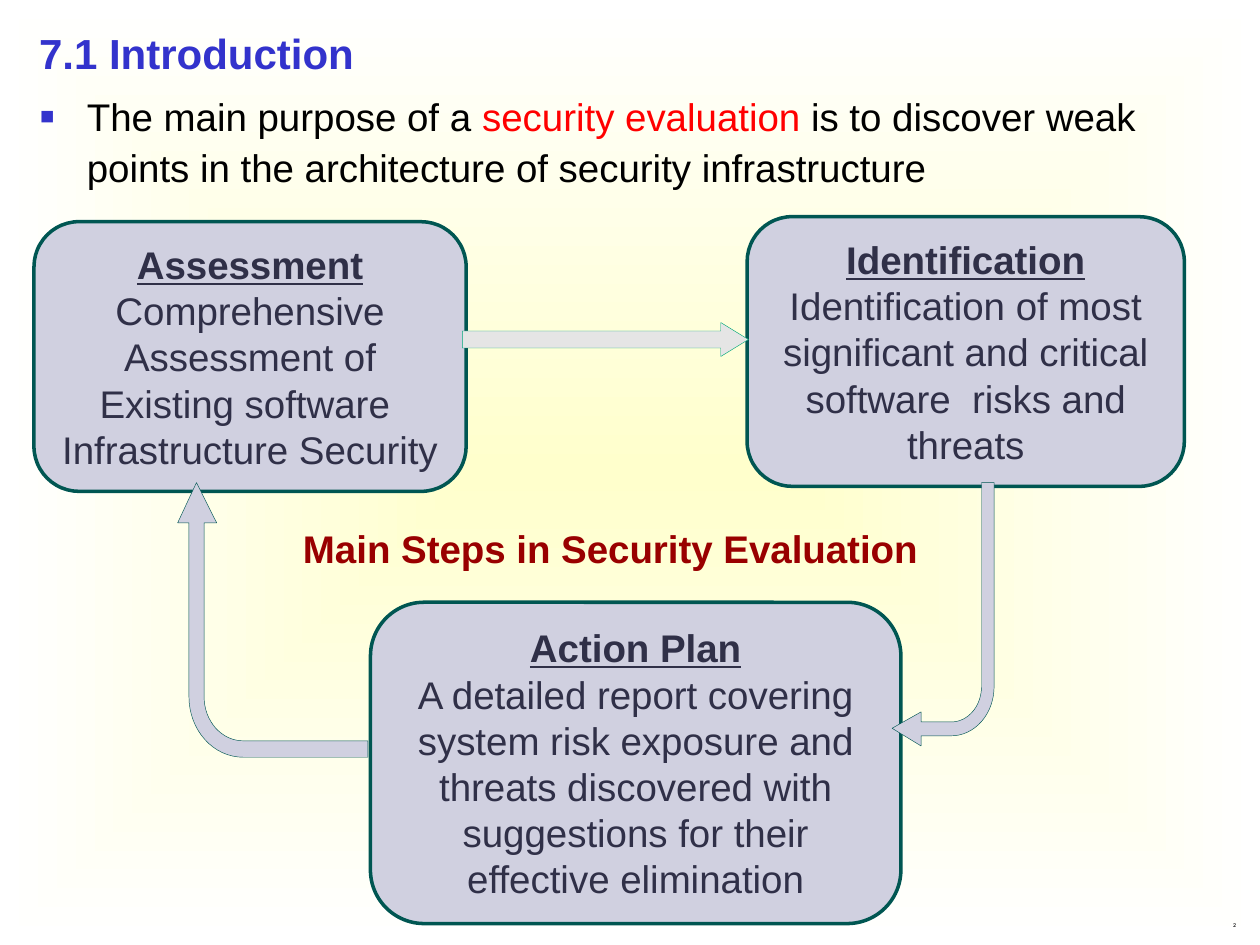
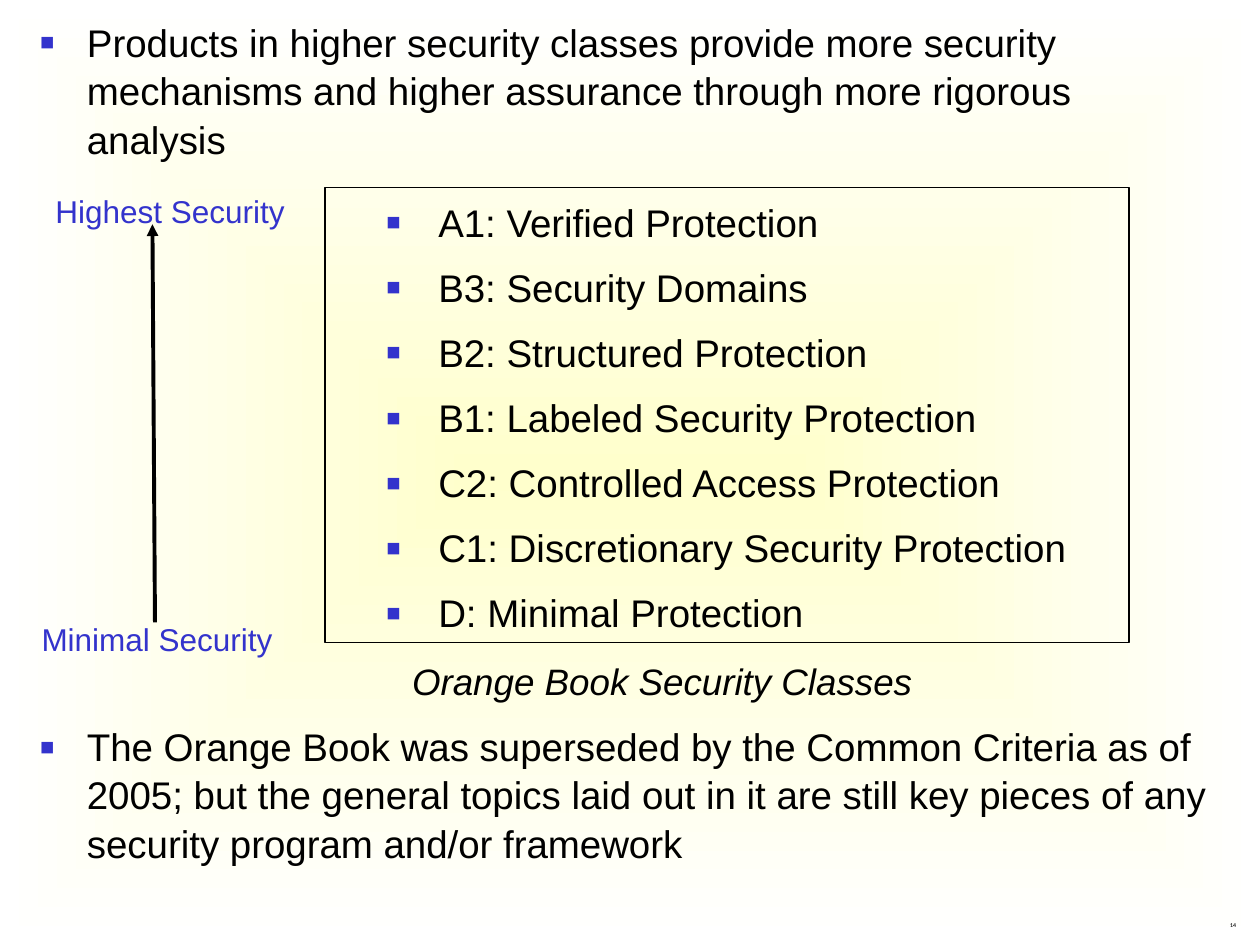
from math import cos, radians, sin

from lxml import etree
from pptx import Presentation
from pptx.dml.color import RGBColor
from pptx.enum.shapes import MSO_CONNECTOR, MSO_SHAPE
from pptx.enum.text import MSO_ANCHOR, MSO_AUTO_SIZE, PP_ALIGN
from pptx.oxml import parse_xml
from pptx.oxml.ns import nsdecls, qn
from pptx.util import Pt

LEFT, CENTER, RIGHT = PP_ALIGN.LEFT, PP_ALIGN.CENTER, PP_ALIGN.RIGHT
TOP, MIDDLE, BOTTOM = MSO_ANCHOR.TOP, MSO_ANCHOR.MIDDLE, MSO_ANCHOR.BOTTOM
NO_FIT = MSO_AUTO_SIZE.NONE
ROUND, RECT, ARROW = MSO_SHAPE.ROUNDED_RECTANGLE, MSO_SHAPE.RECTANGLE, MSO_SHAPE.RIGHT_ARROW
STRAIGHT = MSO_CONNECTOR.STRAIGHT

BLACK = RGBColor(0x00, 0x00, 0x00)
BLUE = RGBColor(0x33, 0x33, 0xCC)
RED = RGBColor(0xFF, 0x00, 0x00)
MAROON = RGBColor(0x99, 0x00, 0x00)
INK = RGBColor(0x30, 0x30, 0x48)
LILAC = RGBColor(0xD0, 0xD0, 0xE0)
TEAL = RGBColor(0x00, 0x56, 0x52)
GREEN = RGBColor(0x00, 0xA7, 0x7A)
GRAY = RGBColor(0xE5, 0xE5, 0xE5)
DARK = RGBColor(0x1C, 0x1C, 0x1C)
CREAM = RGBColor(0xFF, 0xFF, 0xCC)
WHITE = RGBColor(0xFF, 0xFF, 0xFF)

SCALE = 9144
SIZE = 22


def px(n):
    return round(n * SCALE)


def arc(mid, radii, start, end, steps=16):
    angles = [radians(start + (end - start) * i / steps) for i in range(steps + 1)]
    return [(mid[0] + radii[0] * cos(a), mid[1] + radii[1] * sin(a)) for a in angles]


class Deck:
    def __init__(self):
        self.prs = Presentation()
        self.prs.slide_width, self.prs.slide_height = px(1000), px(750)
        self.slide = None
        self.glow()

    def glow(self):
        base = self.prs.slide_master.element.cSld
        base.remove(base.find(qn("p:bg")))
        base.insert(0, parse_xml(
            f'<p:bg {nsdecls("p", "a")}><p:bgPr><a:gradFill rotWithShape="0"><a:gsLst>'
            f'<a:gs pos="0"><a:srgbClr val="{CREAM}"/></a:gs>'
            f'<a:gs pos="100000"><a:srgbClr val="{WHITE}"/></a:gs></a:gsLst>'
            '<a:path path="rect"><a:fillToRect l="50000" t="50000" r="50000" b="50000"/></a:path>'
            '</a:gradFill><a:effectLst/></p:bgPr></p:bg>'))

    def page(self, layout, number):
        self.slide = self.prs.slides.add_slide(self.prs.slide_layouts[layout])
        self.text((933, 725, 58, 17), number, 3, DARK, bold=True, font="Lato",
                  align=RIGHT, anchor=BOTTOM, space=0.8)

    def place(self, shape, area):
        shape.left, shape.top, shape.width, shape.height = map(px, area)

    def frame(self, shape, anchor=TOP, pad=(10, 5), wrap=True):
        frame = shape.text_frame
        frame.auto_size = NO_FIT
        frame.word_wrap = wrap
        frame.vertical_anchor = anchor
        frame.margin_left = frame.margin_right = px(pad[0])
        frame.margin_top = frame.margin_bottom = px(pad[1])
        return frame

    def style(self, run, size, color, bold=False, italic=False, under=False, font="Arial"):
        face = run.font
        face.name, face.size, face.color.rgb = font, Pt(size), color
        face.bold, face.italic, face.underline = bold, italic, under

    def dress(self, para, align=LEFT, space=1.0, before=0, **look):
        para.alignment, para.line_spacing, para.space_before = align, space, Pt(before)
        for run in para.runs:
            self.style(run, **look)

    def text(self, area, words, size, color, align=LEFT, anchor=TOP, space=1.0,
             pad=(10, 5), wrap=True, **look):
        box = self.slide.shapes.add_textbox(*map(px, area))
        frame = self.frame(box, anchor, pad, wrap)
        frame.text = words
        self.dress(frame.paragraphs[0], align, space, size=size, color=color, **look)

    def label(self, area, words, size, color, **look):
        self.text(area, words, size, color, space=0.85, pad=(7, 3), wrap=False, **look)

    def title(self, area, words):
        shape = self.slide.shapes.title
        self.place(shape, area)
        frame = self.frame(shape)
        frame.text = words
        self.dress(frame.paragraphs[0], space=1.1, before=9, size=24, color=BLUE, bold=True)

    def bullet(self, para, left, hang):
        props = para._p.get_or_add_pPr()
        props.set("marL", str(px(left)))
        props.set("indent", str(px(-hang)))
        tint = etree.SubElement(props, qn("a:buClr"))
        etree.SubElement(tint, qn("a:srgbClr"), val=str(BLUE))
        etree.SubElement(props, qn("a:buSzPct"), val="120000")
        etree.SubElement(props, qn("a:buFont"), typeface="Arial")
        etree.SubElement(props, qn("a:buChar"), char="▪")

    def items(self, shape, lines, left, hang, space, level=0):
        frame = self.frame(shape)
        frame.text = "\n".join(lines)
        for para in frame.paragraphs:
            para.level = level
            self.dress(para, space=space, before=8.2, size=SIZE, color=BLACK)
            self.bullet(para, left, hang)
        return frame

    def body(self, slot, area, words, space):
        shape = self.slide.placeholders[slot]
        self.place(shape, area)
        return self.items(shape, [words], 38, 38, space).paragraphs[0]

    def paint(self, shape, fill, line, width):
        shape.shadow.inherit = False
        if fill is None:
            shape.fill.background()
        else:
            shape.fill.solid()
            shape.fill.fore_color.rgb = fill
        shape.line.color.rgb = line
        shape.line.width = Pt(width)

    def shape(self, kind, area, fill, line, width, adjust=()):
        shape = self.slide.shapes.add_shape(kind, *map(px, area))
        for i, value in enumerate(adjust):
            shape.adjustments[i] = value
        self.paint(shape, fill, line, width)
        return shape

    def card(self, area, head, words):
        shape = self.shape(ROUND, area, LILAC, TEAL, 2, [0.167])
        frame = self.frame(shape, MIDDLE)
        frame.text = f"{head}\n{words}"
        for para, strong in zip(frame.paragraphs, (True, False)):
            self.dress(para, CENTER, size=SIZE, color=INK, bold=strong, under=strong)

    def bend(self, points):
        first, *rest = [(px(x), px(y)) for x, y in points]
        pen = self.slide.shapes.build_freeform(*first)
        pen.add_line_segments(rest, close=True)
        self.paint(pen.convert_to_shape(), LILAC, TEAL, 0.25)

    def arrow(self, start, end):
        line = self.slide.shapes.add_connector(STRAIGHT, *map(px, start + end))
        line.line.color.rgb = BLACK
        line.line.width = Pt(2.25)
        props = line._element.spPr
        etree.SubElement(props.find(qn("a:ln")), qn("a:tailEnd"), type="triangle")
        etree.SubElement(props, qn("a:effectLst"))


def intro(deck):
    deck.page(1, "2")
    para = deck.body(1, (21, 65, 954, 91), "The main purpose of a ", 1.1)
    for words, color in (
        ("security evaluation", RED),
        (" is to discover weak points in the architecture of security infrastructure", BLACK),
    ):
        run = para.add_run()
        run.text = words
        deck.style(run, SIZE, color)
    for area, head, words in (
        ((27, 176, 343, 214), "Assessment",
         "Comprehensive Assessment of Existing software  Infrastructure Security"),
        ((593, 172, 347, 214), "Identification",
         "Identification of most significant and critical software  risks and threats"),
        ((294, 478, 421, 255), "Action Plan",
         "A detailed report covering system risk exposure and threats discovered "
         "with suggestions for their effective elimination"),
    ):
        deck.card(area, head, words)
    down, up = (755, 545), (193, 553)
    deck.bend([(789, 383), *arc(down, (34, 39), 0, 90),
               (731, 584), (731, 592), (708, 578), (731, 565), (731, 573),
               *arc(down, (24, 28), 90, 0), (779, 383)])
    deck.bend([(292, 601), *arc(up, (43, 48), 90, 180),
               (150, 415), (141, 415), (156, 383), (172, 415), (162, 415),
               *arc(up, (31, 35), 180, 90), (292, 588)])
    deck.shape(ARROW, (367, 256, 227, 27), GRAY, GREEN, 0.25, [0.5, 0.813])
    deck.text((227, 412, 515, 47), "Main Steps in Security Evaluation", SIZE, MAROON,
              align=CENTER, bold=True)
    deck.title((21, 13, 954, 54), "7.1 Introduction")


def classes(deck):
    deck.page(3, "14")
    head = deck.slide.shapes.title._element
    head.getparent().remove(head)
    box = deck.shape(RECT, (258, 149, 638, 361), None, BLACK, 0.75)
    deck.items(box, (
        "A1: Verified Protection",
        "B3: Security Domains",
        "B2: Structured Protection",
        "B1: Labeled Security Protection",
        "C2: Controlled Access Protection",
        "C1: Discretionary Security Protection",
        "D: Minimal Protection",
    ), 80, 42, 1.1, level=1)
    deck.label((37, 154, 196, 31), "Highest Security", 18, BLUE)
    deck.label((26, 494, 197, 31), "Minimal Security", 18, BLUE)
    deck.arrow((123, 494), (121, 178))
    deck.label((320, 525, 411, 35), "Orange Book Security Classes", 21, BLACK, italic=True)
    deck.body(1, (21, 8, 954, 126),
              "Products in higher security classes provide more security mechanisms "
              "and higher assurance through more rigorous analysis", 1.05)
    deck.body(2, (21, 567, 954, 126),
              "The Orange Book was superseded by the Common Criteria as of 2005; but the "
              "general topics laid out in it are still key pieces of any security program "
              "and/or framework", 1.05)


def main():
    deck = Deck()
    intro(deck)
    classes(deck)
    deck.prs.save("out.pptx")


if __name__ == "__main__":
    main()
